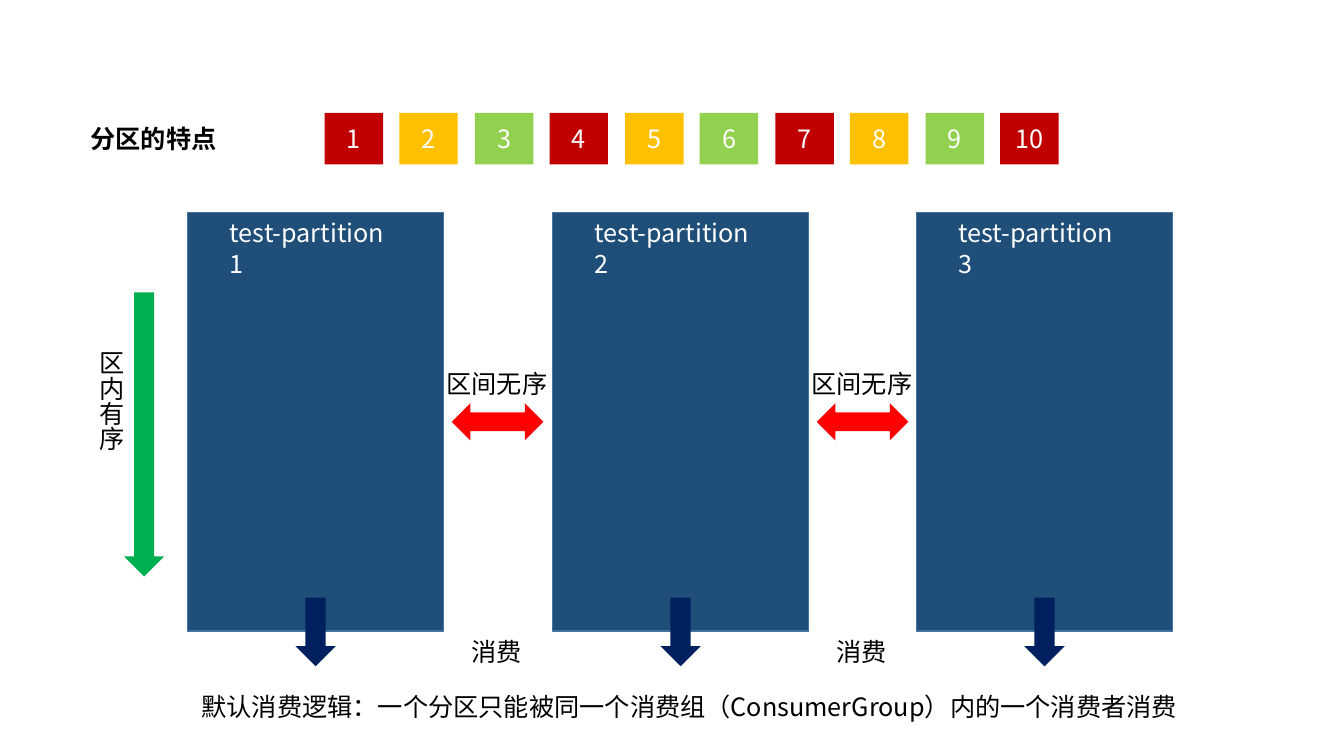
from pptx import Presentation
from pptx.dml.color import RGBColor
from pptx.enum.shapes import MSO_SHAPE
from pptx.enum.text import MSO_ANCHOR, PP_ALIGN
from pptx.util import Emu, Pt

PX = 9144
FONT = "Noto Sans CJK SC"
RECT = MSO_SHAPE.RECTANGLE
DOWN = MSO_SHAPE.DOWN_ARROW
LEFT_RIGHT = MSO_SHAPE.LEFT_RIGHT_ARROW
MIDDLE = MSO_ANCHOR.MIDDLE
CENTER = PP_ALIGN.CENTER
BLACK, WHITE = "000000", "FFFFFF"
MESSAGE_COLORS = ["C00000", "FFC000", "92D050"]


def px(*lengths):
    """Turn pixel lengths into EMU."""
    return [Emu(length * PX) for length in lengths]


def rgb(value):
    """Turn a hex string into a colour."""
    return RGBColor.from_string(value)


def write(frame, text, color, bold=False):
    """Set a one-paragraph text and format its run."""
    frame.text = text
    font = frame.paragraphs[0].runs[0].font
    font.name, font.size, font.bold = FONT, Pt(18), bold
    font.color.rgb = rgb(color)
    properties = font._element
    for tag in ("ea", "cs"):
        properties.makeelement
        script_font = properties.makeelement(
            "{http://schemas.openxmlformats.org/drawingml/2006/main}" + tag, {"typeface": FONT})
        properties.append(script_font)


def add_label(slide, box, text, color=BLACK, bold=False, wrap=False):
    """Add a text box and return its frame."""
    frame = slide.shapes.add_textbox(*px(*box)).text_frame
    frame.word_wrap = wrap
    write(frame, text, color, bold)
    return frame


def add_block(slide, kind, box, fill, outline=None):
    """Add a flat filled shape."""
    block = slide.shapes.add_shape(kind, *px(*box))
    block.shadow.inherit = False
    block.fill.solid()
    block.fill.fore_color.rgb = rgb(fill)
    if outline:
        block.line.color.rgb = rgb(outline)
        block.line.width = Pt(1)
    else:
        block.line.fill.background()
    return block


def add_messages(slide, left, top, count):
    """Draw the row of numbered messages."""
    for index in range(count):
        box = (left + index * 149 // 2, top, 58, 51)
        color = MESSAGE_COLORS[index % len(MESSAGE_COLORS)]
        frame = add_block(slide, RECT, box, color).text_frame
        write(frame, str(index + 1), WHITE)
        frame.vertical_anchor = MIDDLE
        frame.paragraphs[0].alignment = CENTER


def add_partition(slide, left, top, number):
    """Draw one partition with its name and consuming arrow."""
    add_block(slide, RECT, (left, top, 254, 415), "1F4E79", "43739E")
    name = add_label(slide, (left + 32, top, 191, 40),
                     f"test-partition {number}", WHITE, wrap=True)
    name.margin_right = px(25)[0]
    add_block(slide, DOWN, (left + 107, top + 382, 40, 68), "002060")


def add_gap(slide, left, top):
    """Draw what stands between two partitions."""
    add_block(slide, LEFT_RIGHT, (left + 15, top + 189, 91, 37), "FF0000")
    add_label(slide, (left, top + 149, 121, 40), "区间无序")
    add_label(slide, (left + 25, top + 415, 71, 40), "消费")


def add_order(slide, left, top):
    """Draw the arrow for the order inside a partition."""
    add_block(slide, DOWN, (left + 43, top, 40, 282), "00B050")
    frame = add_label(slide, (left, top + 48, 50, 111), "区内有序")
    frame._txBody.bodyPr.set("vert", "eaVert")


def main():
    """Build the slide and save it."""
    deck = Presentation()
    deck.slide_width, deck.slide_height = px(1333, 750)
    slide = deck.slides.add_slide(deck.slide_layouts[6])
    add_label(slide, (80, 117, 146, 40), "分区的特点", bold=True)
    add_messages(slide, 322, 112, 10)
    partition_lefts = [186 + (index * 723 + 1) // 2 for index in range(3)]
    for number, left in enumerate(partition_lefts, 1):
        add_partition(slide, left, 211, number)
    for left in partition_lefts[:-1]:
        add_gap(slide, left + 247, 211)
    add_order(slide, 80, 290)
    add_label(slide, (190, 681, 1008, 40),
              "默认消费逻辑：一个分区只能被同一个消费组（ConsumerGroup）内的一个消费者消费")
    deck.save("out.pptx")


if __name__ == "__main__":
    main()
